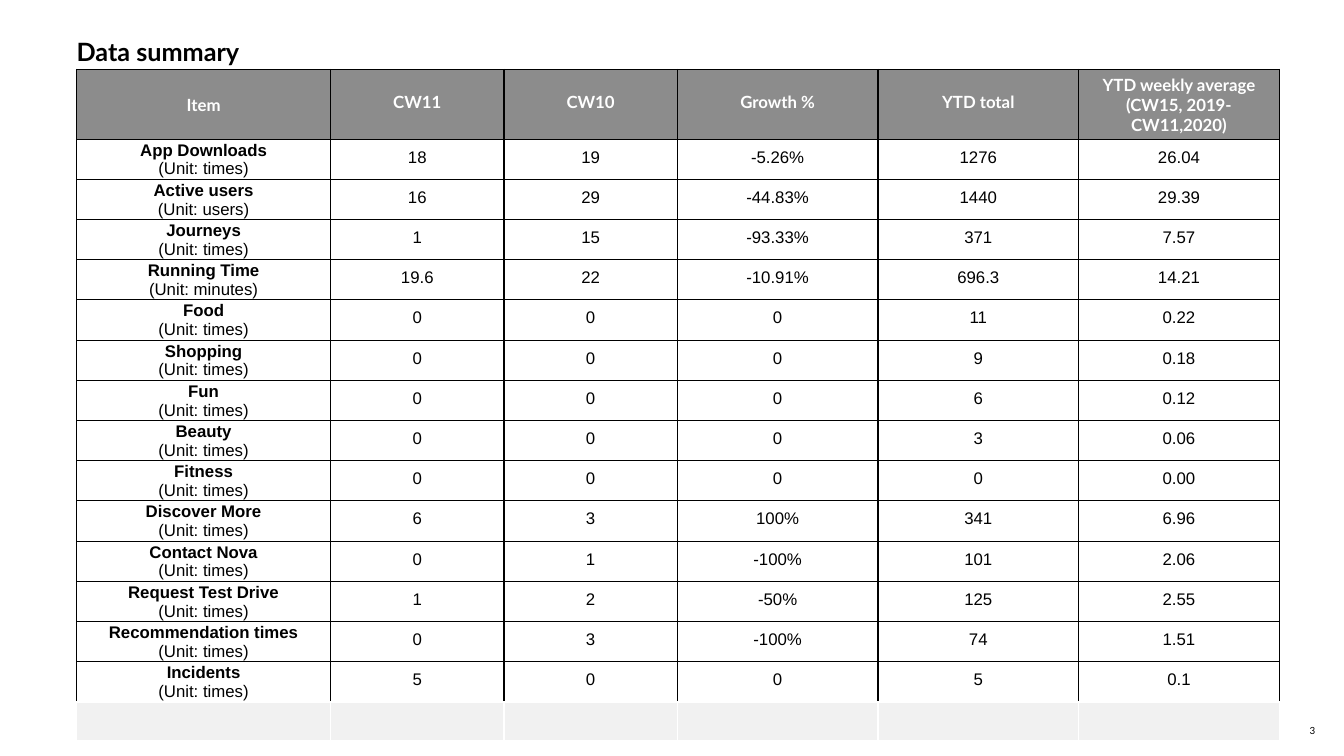
"""Build the weekly data summary slide."""
from dataclasses import dataclass

from lxml.etree import SubElement
from pptx import Presentation
from pptx.dml.color import RGBColor
from pptx.enum.text import MSO_ANCHOR, MSO_AUTO_SIZE, PP_ALIGN
from pptx.oxml.ns import qn
from pptx.slide import Slide
from pptx.table import _Cell
from pptx.text.text import TextFrame
from pptx.util import Inches, Length, Pt

BLACK = RGBColor(0x00, 0x00, 0x00)
WHITE = RGBColor(0xFF, 0xFF, 0xFF)
HEADER_GRAY = RGBColor(0x8C, 0x8C, 0x8C)
FOOTER_GRAY = RGBColor(0xF1, 0xF1, 0xF1)
HEADING_FONT = "Lato"
BODY_FONT = "Arial"

SLIDE_WIDTH = Inches(13.33)
SLIDE_HEIGHT = Inches(7.5)
TABLE_LEFT, TABLE_TOP = 5.7, 9.2
COLUMN_SHARES = [18.9, 12.9, 12.9, 14.93, 14.93, 14.93]
HEADER_SHARE, METRIC_SHARE, FOOTER_SHARE = 9.2, 5.32, 5.07


@dataclass(frozen=True)
class Metric:
    """One table row: its name, unit and five figures."""
    name: str
    unit: str
    figures: tuple[str, ...]


HEADINGS = ["Item", "CW11", "CW10", "Growth %", "YTD total",
            "YTD weekly average\n(CW15, 2019-CW11,2020)"]
METRICS = [
    Metric("App Downloads", "times", ("18", "19", "-5.26%", "1276", "26.04")),
    Metric("Active users", "users", ("16", "29", "-44.83%", "1440", "29.39")),
    Metric("Journeys", "times", ("1", "15", "-93.33%", "371", "7.57")),
    Metric("Running Time", "minutes", ("19.6", "22", "-10.91%", "696.3", "14.21")),
    Metric("Food", "times", ("0", "0", "0", "11", "0.22")),
    Metric("Shopping", "times", ("0", "0", "0", "9", "0.18")),
    Metric("Fun", "times", ("0", "0", "0", "6", "0.12")),
    Metric("Beauty", "times", ("0", "0", "0", "3", "0.06")),
    Metric("Fitness", "times", ("0", "0", "0", "0", "0.00")),
    Metric("Discover More", "times", ("6", "3", "100%", "341", "6.96")),
    Metric("Contact Nova", "times", ("0", "1", "-100%", "101", "2.06")),
    Metric("Request Test Drive", "times", ("1", "2", "-50%", "125", "2.55")),
    Metric("Recommendation times", "times", ("0", "3", "-100%", "74", "1.51")),
    Metric("Incidents", "times", ("5", "0", "0", "5", "0.1")),
]


def across(percent: float) -> Length:
    """Return a percentage of the slide width."""
    return Length(round(SLIDE_WIDTH * percent / 100))


def down(percent: float) -> Length:
    """Return a percentage of the slide height."""
    return Length(round(SLIDE_HEIGHT * percent / 100))


def write(frame: TextFrame, text: str, *, size: float = 12, font: str = BODY_FONT,
          color: RGBColor = BLACK, bold: tuple[bool, ...] = (False,),
          align: PP_ALIGN = PP_ALIGN.CENTER, spacing: float = 1.0) -> None:
    """Write lines as paragraphs; the last bold flag serves all further lines."""
    frame.text = text
    for index, paragraph in enumerate(frame.paragraphs):
        paragraph.alignment = align
        paragraph.line_spacing = spacing
        for run in paragraph.runs:
            run.font.size = Pt(size)
            run.font.name = font
            run.font.bold = bold[min(index, len(bold) - 1)]
            run.font.color.rgb = color


def clear_insets(frame: TextFrame) -> None:
    """Remove the inner margins and fix the frame size."""
    frame.margin_left = frame.margin_right = frame.margin_top = frame.margin_bottom = 0
    frame.word_wrap = True
    frame.auto_size = MSO_AUTO_SIZE.NONE


def border(cell: _Cell, color: RGBColor, bottom: RGBColor) -> None:
    """Draw one-point lines on all four sides of a cell."""
    properties = cell._tc.get_or_add_tcPr()
    edges = {"a:lnL": color, "a:lnR": color, "a:lnT": color, "a:lnB": bottom}
    for index, (tag, edge_color) in enumerate(edges.items()):
        line = SubElement(properties, qn(tag), w=str(Pt(1)))
        fill = SubElement(line, qn("a:solidFill"))
        SubElement(fill, qn("a:srgbClr"), val=str(edge_color))
        properties.insert(index, line)


def style_cell(cell: _Cell, *, fill: RGBColor | None = None, line: RGBColor = BLACK,
               bottom_line: RGBColor = BLACK, bottom_share: float = 0) -> None:
    """Set a cell's fill, borders, margins and anchor."""
    if fill is None:
        cell.fill.background()
    else:
        cell.fill.solid()
        cell.fill.fore_color.rgb = fill
    cell.margin_left = cell.margin_right = across(0.08)
    cell.margin_top = down(0.13)
    cell.margin_bottom = down(bottom_share)
    cell.vertical_anchor = MSO_ANCHOR.MIDDLE
    border(cell, line, bottom_line)


def add_title(slide: Slide) -> None:
    """Place the title."""
    title = slide.shapes.title
    title.left, title.top = across(TABLE_LEFT), down(4.4)
    title.width, title.height = across(93), down(8.93)
    clear_insets(title.text_frame)
    title.text_frame.vertical_anchor = MSO_ANCHOR.TOP
    write(title.text_frame, "Data summary", size=18, font=HEADING_FONT,
          bold=(True,), align=PP_ALIGN.LEFT, spacing=1.1)


def add_summary(slide: Slide) -> None:
    """Place the table of metrics with its header and empty closing row."""
    row_shares = [HEADER_SHARE, *[METRIC_SHARE] * len(METRICS), FOOTER_SHARE]
    summary = slide.shapes.add_table(
        len(row_shares), len(COLUMN_SHARES), across(TABLE_LEFT), down(TABLE_TOP),
        across(sum(COLUMN_SHARES)), down(sum(row_shares))).table
    summary.first_row = summary.horz_banding = False
    for column, share in zip(summary.columns, COLUMN_SHARES):
        column.width = across(share)
    for row, share in zip(summary.rows, row_shares):
        row.height = down(share)

    for index, heading in enumerate(HEADINGS):
        cell = summary.cell(0, index)
        centered = index in (0, len(HEADINGS) - 1)
        style_cell(cell, fill=HEADER_GRAY, bottom_share=0 if centered else 0.67)
        write(cell.text_frame, heading, font=HEADING_FONT, color=WHITE, bold=(True,))

    for row_index, metric in enumerate(METRICS, start=1):
        bottom_line = WHITE if row_index == len(METRICS) else BLACK
        item = summary.cell(row_index, 0)
        style_cell(item, bottom_line=bottom_line)
        write(item.text_frame, f"{metric.name}\n(Unit: {metric.unit})", bold=(True, False))
        for column_index, figure in enumerate(metric.figures, start=1):
            cell = summary.cell(row_index, column_index)
            style_cell(cell, bottom_line=bottom_line, bottom_share=0.67)
            write(cell.text_frame, figure)

    for cell in summary.rows[len(row_shares) - 1].cells:
        style_cell(cell, fill=FOOTER_GRAY, line=WHITE, bottom_line=WHITE)


def add_page_number(slide: Slide) -> None:
    """Place the page number at the lower right."""
    frame = slide.shapes.add_textbox(
        across(97.45), down(95.47), across(2.55), down(2.27)).text_frame
    clear_insets(frame)
    frame.vertical_anchor = MSO_ANCHOR.MIDDLE
    write(frame, "3", size=7, font=HEADING_FONT, align=PP_ALIGN.LEFT)


def main() -> None:
    """Create and save the presentation."""
    presentation = Presentation()
    presentation.slide_width, presentation.slide_height = SLIDE_WIDTH, SLIDE_HEIGHT
    slide = presentation.slides.add_slide(presentation.slide_layouts[5])
    add_title(slide)
    add_summary(slide)
    add_page_number(slide)
    presentation.save("out.pptx")


if __name__ == "__main__":
    main()
